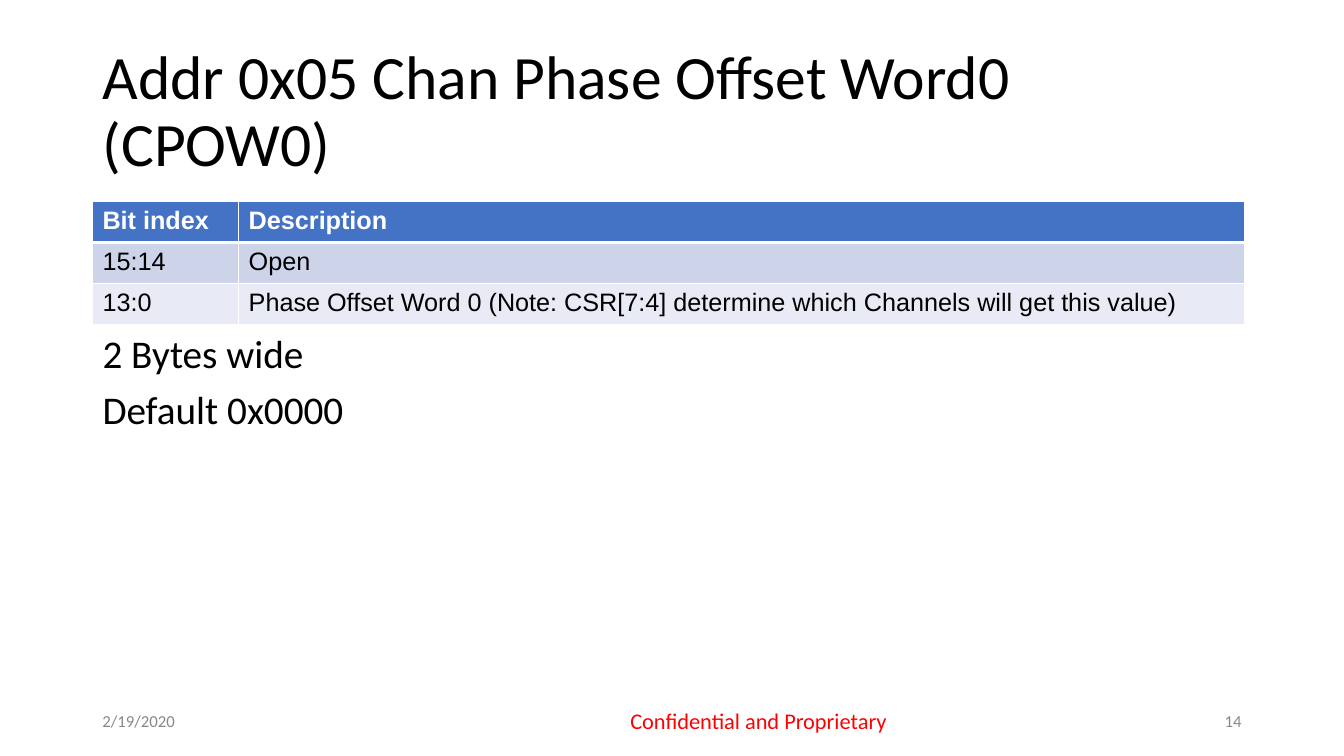
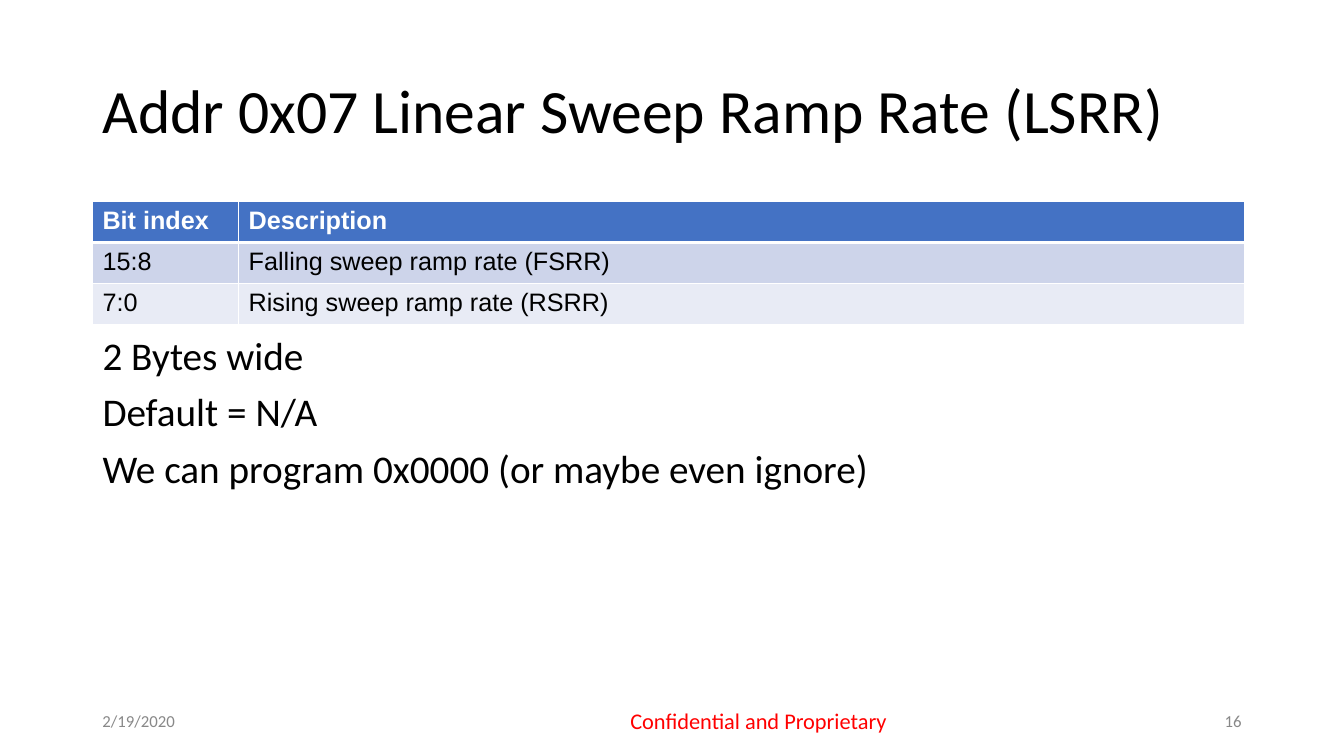
from dataclasses import dataclass

from lxml import etree
from pptx import Presentation
from pptx import util as u
from pptx.dml.color import RGBColor
from pptx.enum import text
from pptx.oxml import ns


@dataclass(frozen=True)
class Theme:
    # Colours
    ink: str = "000000"
    paper: str = "FFFFFF"
    muted: str = "888888"
    alert: str = "FF0000"
    header: str = "4472C4"
    bands: tuple = ("CDD4EA", "E8EBF5")
    # Fonts and type sizes in points
    font: str = "Calibri"
    table_font: str = "Arial"
    title: int = 44
    body: int = 28
    cell: int = 18
    notice: int = 16
    footer: int = 12
    # Cell borders in points
    rule: int = 1
    header_rule: int = 3


# Layout, in percent of the slide's width or height
LEFT, WIDTH = 6.88, 86.25
TITLE_TOP, TITLE_HEIGHT = 5.32, 19.33
TABLE_TOP, ROW = 26.67, 5.41
COLUMNS = (10.88, 74.85)
BODY_BOTTOM = 90
FOOT_TOP, FOOT_HEIGHT, FOOT_WIDTH = 92.67, 5.32, 22.5
NOTICE_LEFT, NOTICE_WIDTH = 46.05, 20.78

ALIGN = text.PP_ALIGN
ANCHOR = text.MSO_ANCHOR


class Deck:
    """Holds the style, the presentation and the current slide."""

    def __init__(self, theme):
        self.theme = theme
        self.prs = Presentation()
        self.prs.slide_width, self.prs.slide_height = u.Inches(13.33), u.Inches(7.5)
        self.s = None

    def x(self, pct):
        return round(self.prs.slide_width * pct / 100)

    def y(self, pct):
        return round(self.prs.slide_height * pct / 100)

    def box(self, left, top, width, height):
        return self.x(left), self.y(top), self.x(width), self.y(height)

    def new_slide(self):
        self.s = self.prs.slides.add_slide(self.prs.slide_layouts[1])

    def run(self, p, words, size, color, font=None, bold=False):
        r = p.add_run()
        r.text = words
        r.font.size, r.font.bold = u.Pt(size), bold
        r.font.name = font or self.theme.font
        r.font.color.rgb = RGBColor.from_string(color)

    def frame(self, sp, anchor):
        tf = sp.text_frame
        tf.word_wrap, tf.auto_size = True, text.MSO_AUTO_SIZE.NONE
        tf.vertical_anchor = anchor
        return tf

    def place(self, sp, *area):
        sp.left, sp.top, sp.width, sp.height = self.box(*area)

    def title(self, words):
        sp = self.s.shapes.title
        self.place(sp, LEFT, TITLE_TOP, WIDTH, TITLE_HEIGHT)
        p = self.frame(sp, ANCHOR.MIDDLE).paragraphs[0]
        p.alignment, p.line_spacing = ALIGN.LEFT, 0.9
        self.run(p, words, self.theme.title, self.theme.ink)

    def body(self, lines, top):
        sp = self.s.placeholders[1]
        self.place(sp, LEFT, top, WIDTH, BODY_BOTTOM - top)
        tf = self.frame(sp, ANCHOR.TOP)
        for i, line in enumerate(lines):
            p = tf.add_paragraph() if i else tf.paragraphs[0]
            p.line_spacing, p.space_before = 0.9, u.Pt(10 if i else 0)
            # Plain lines: no bullet and no hanging indent
            pPr = p._p.get_or_add_pPr()
            pPr.set("marL", "0")
            pPr.set("indent", "0")
            etree.SubElement(pPr, ns.qn("a:buNone"))
            self.run(p, line, self.theme.body, self.theme.ink)

    def label(self, words, left, width, size, color, align):
        sp = self.s.shapes.add_textbox(*self.box(left, FOOT_TOP, width, FOOT_HEIGHT))
        p = self.frame(sp, ANCHOR.MIDDLE).paragraphs[0]
        p.alignment = align
        self.run(p, words, size, color)

    def footer(self, number):
        t = self.theme
        self.label("2/19/2020", LEFT, FOOT_WIDTH, t.footer, t.muted, ALIGN.LEFT)
        self.label("Confidential and Proprietary", NOTICE_LEFT, NOTICE_WIDTH,
                   t.notice, t.alert, ALIGN.CENTER)
        self.label(str(number), LEFT + WIDTH - FOOT_WIDTH, FOOT_WIDTH,
                   t.footer, t.muted, ALIGN.RIGHT)

    def borders(self, cell, top, bottom):
        tcPr = cell._tc.get_or_add_tcPr()
        widths = {"L": self.theme.rule, "R": self.theme.rule, "T": top, "B": bottom}
        for side, width in widths.items():
            ln = etree.SubElement(tcPr, ns.qn(f"a:ln{side}"), w=str(u.Pt(width)))
            fill = etree.SubElement(ln, ns.qn("a:solidFill"))
            etree.SubElement(fill, ns.qn("a:srgbClr"), val=self.theme.paper)

    def table(self, fields):
        t = self.theme
        rows = [("Bit index", "Description"), *fields]
        area = self.box(LEFT, TABLE_TOP, sum(COLUMNS), ROW * len(rows))
        tbl = self.s.shapes.add_table(len(rows), len(COLUMNS), *area).table
        for col, width in zip(tbl.columns, COLUMNS):
            col.width = self.x(width)
        for i, row in enumerate(rows):
            tbl.rows[i].height = self.y(ROW)
            head = i == 0
            fill = t.header if head else t.bands[(i - 1) % len(t.bands)]
            for j, words in enumerate(row):
                cell = tbl.cell(i, j)
                # Borders come before the fill in the cell's properties
                self.borders(cell, t.header_rule if i == 1 else t.rule,
                             t.header_rule if head else t.rule)
                cell.fill.solid()
                cell.fill.fore_color.rgb = RGBColor.from_string(fill)
                self.run(cell.text_frame.paragraphs[0], words, t.cell,
                         t.paper if head else t.ink, t.table_font, head)

    def register(self, number, title, fields, lines, body_top):
        """One slide describing a register."""
        self.new_slide()
        self.title(title)
        self.body(lines, body_top)
        self.footer(number)
        self.table(fields)


def main():
    deck = Deck(Theme())
    # Channel phase offset
    deck.register(
        14, "Addr 0x05 Chan Phase Offset Word0 (CPOW0)",
        [("15:14", "Open"),
         ("13:0", "Phase Offset Word 0 (Note: CSR[7:4] determine which "
                  "Channels will get this value)")],
        ["2 Bytes wide", "Default 0x0000"], 43.6)
    # Linear sweep ramp rate
    deck.register(
        16, "Addr 0x07 Linear Sweep Ramp Rate (LSRR)",
        [("15:8", "Falling sweep ramp rate (FSRR)"),
         ("7:0", "Rising sweep ramp rate (RSRR)")],
        ["2 Bytes wide", "Default = N/A",
         "We can program 0x0000 (or maybe even ignore)"], 43.87)
    deck.prs.save("out.pptx")


if __name__ == "__main__":
    main()
